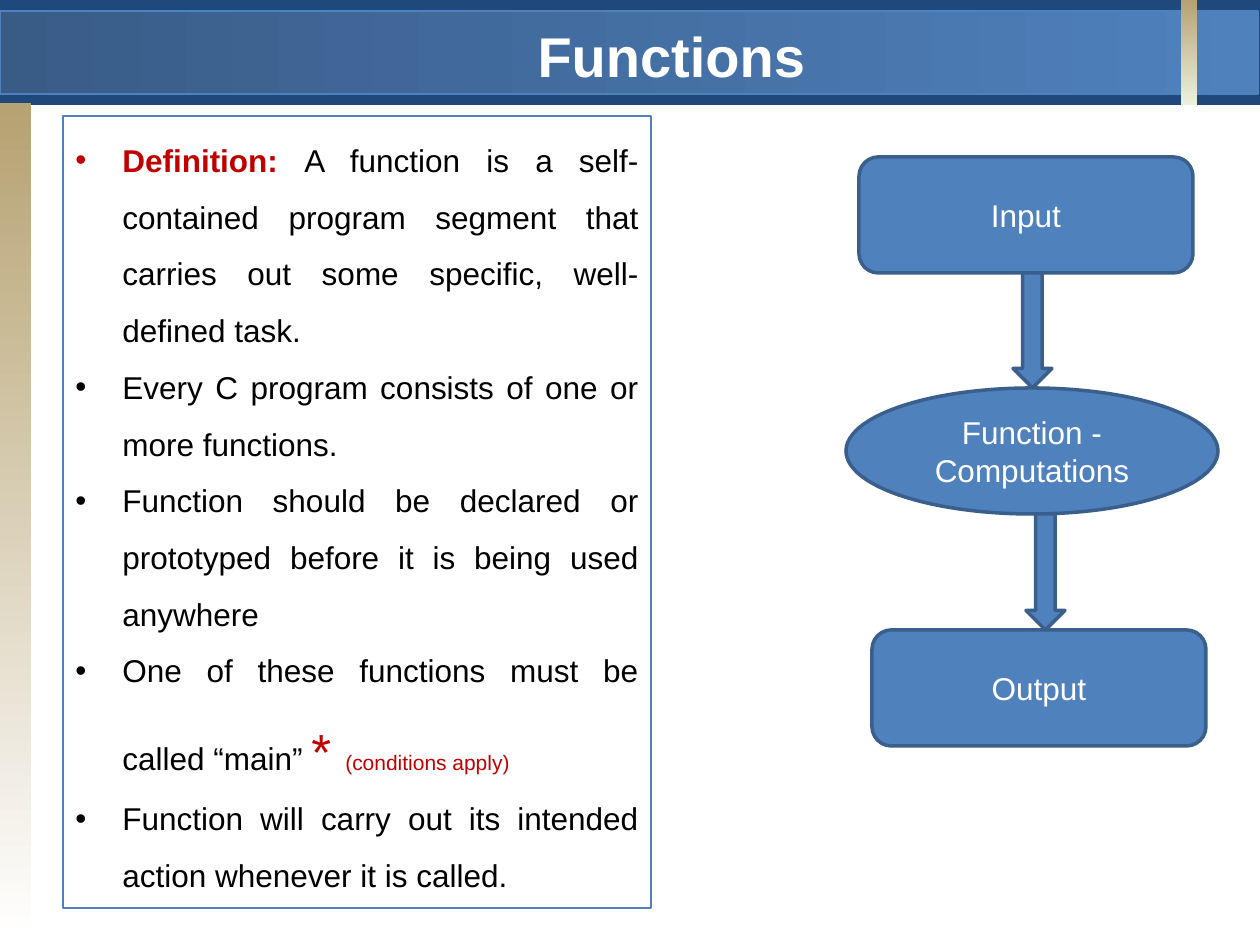
from lxml.etree import SubElement
from pptx import Presentation
from pptx.dml.color import RGBColor
from pptx.enum.shapes import MSO_SHAPE
from pptx.enum.text import MSO_ANCHOR, MSO_AUTO_SIZE, PP_ALIGN
from pptx.oxml.ns import qn
from pptx.util import Emu, Pt

PIXELS_PER_INCH = 126
FONT = "Arial"
WHITE = RGBColor(0xFF, 0xFF, 0xFF)
BLACK = RGBColor(0x00, 0x00, 0x00)
RED = RGBColor(0xC0, 0x00, 0x00)
NAVY = RGBColor(0x1F, 0x49, 0x7D)
STEEL = RGBColor(0x39, 0x5C, 0x87)
BLUE = RGBColor(0x4F, 0x81, 0xBD)
OUTLINE = RGBColor(0x3A, 0x5F, 0x8C)
TAN = RGBColor(0xB6, 0xA2, 0x72)
CREAM = RGBColor(0xEB, 0xF1, 0xDE)

BODY = (18, BLACK, False)
BULLETS = [
    [("Definition: ", 18, RED, True),
     ("A function is a self-contained program segment that carries out "
      "some specific, well-defined task.", *BODY)],
    [("Every C program consists of one or more functions.", *BODY)],
    [("Function should be declared or prototyped before it is being used anywhere", *BODY)],
    [("One of these functions must be called “main” ", *BODY),
     ("* ", 29, RED, False),
     ("(conditions apply)", 12, RED, False)],
    [("Function will carry out its intended action whenever it is called.", *BODY)],
]


def px(value):
    return Emu(round(value * 914400 / PIXELS_PER_INCH))


def add_box(shapes, kind, box, fill=None, line=None, line_width=0):
    shape = shapes.add_shape(kind, *map(px, box))
    shape.shadow.inherit = False
    if fill is None:
        shape.fill.background()
    else:
        shape.fill.solid()
        shape.fill.fore_color.rgb = fill
    if line is None:
        shape.line.fill.background()
    else:
        shape.line.color.rgb = line
        shape.line.width = Pt(line_width)
    return shape


def set_gradient(shape, colors, angle):
    shape.fill.gradient()
    shape.fill.gradient_angle = angle
    for position, (stop, color) in enumerate(zip(shape.fill.gradient_stops, colors)):
        stop.color.rgb = color
        stop.position = position


def format_run(run, size, color, bold=False):
    run.font.name = FONT
    run.font.size = Pt(size)
    run.font.color.rgb = color
    run.font.bold = bold


def add_bullet(paragraph, indent):
    properties = paragraph._p.get_or_add_pPr()
    properties.set("marL", str(px(indent)))
    properties.set("indent", str(-px(indent)))
    SubElement(properties, qn("a:buFont"), typeface=FONT)
    SubElement(properties, qn("a:buChar"), char="•")


def add_header(slide, box):
    left, top, width, height = box
    add_box(slide.shapes, MSO_SHAPE.RECTANGLE, box, NAVY)
    band = add_box(slide.shapes, MSO_SHAPE.RECTANGLE,
                   (left, top + 11, width - 2, 83), BLUE, BLUE, 0.75)
    set_gradient(band, (STEEL, BLUE), 0)


def add_gradient_strip(slide, box, end_color):
    strip = add_box(slide.shapes, MSO_SHAPE.RECTANGLE, box, TAN)
    set_gradient(strip, (TAN, end_color), 270)


def add_title(slide, box):
    title = slide.shapes.add_textbox(*map(px, box))
    text_frame = title.text_frame
    text_frame.word_wrap = True
    text_frame.margin_top = px(12)
    text_frame.text = "Functions"
    paragraph = text_frame.paragraphs[0]
    paragraph.alignment = PP_ALIGN.CENTER
    format_run(paragraph.runs[0], 32, WHITE, True)


def add_definition(slide, box):
    panel = add_box(slide.shapes, MSO_SHAPE.RECTANGLE, box, line=BLUE, line_width=1.5)
    text_frame = panel.text_frame
    text_frame.word_wrap = True
    text_frame.auto_size = MSO_AUTO_SIZE.SHAPE_TO_FIT_TEXT
    text_frame.vertical_anchor = MSO_ANCHOR.TOP
    for index, pieces in enumerate(BULLETS):
        paragraph = text_frame.add_paragraph() if index else text_frame.paragraphs[0]
        paragraph.alignment = PP_ALIGN.JUSTIFY
        paragraph.line_spacing = 1.5
        add_bullet(paragraph, 47)
        for text, size, color, bold in pieces:
            run = paragraph.add_run()
            run.text = text
            format_run(run, size, color, bold)


def add_flow(slide, box):
    left, top, _, _ = box
    group = slide.shapes.add_group_shape()
    steps = [
        (MSO_SHAPE.ROUNDED_RECTANGLE, (13, 0, 334, 116), "Input"),
        (MSO_SHAPE.OVAL, (0, 231, 372, 126), "Function - Computations"),
        (MSO_SHAPE.ROUNDED_RECTANGLE, (26, 473, 334, 116), "Output"),
        (MSO_SHAPE.DOWN_ARROW, (167, 116, 39, 115), ""),
        (MSO_SHAPE.DOWN_ARROW, (180, 357, 39, 116), ""),
    ]
    for kind, (x, y, width, height), text in steps:
        step = add_box(group.shapes, kind, (left + x, top + y, width, height),
                       BLUE, OUTLINE, 2)
        if text:
            step.text_frame.text = text
            step.text_frame.word_wrap = True
            step.text_frame.vertical_anchor = MSO_ANCHOR.MIDDLE
            paragraph = step.text_frame.paragraphs[0]
            paragraph.alignment = PP_ALIGN.CENTER
            format_run(paragraph.runs[0], 18, WHITE)


def main():
    presentation = Presentation()
    presentation.slide_width = px(1260)
    presentation.slide_height = px(945)
    slide = presentation.slides.add_slide(presentation.slide_layouts[6])
    add_header(slide, (0, 0, 1260, 105))
    add_gradient_strip(slide, (0, 103, 31, 837), WHITE)
    add_gradient_strip(slide, (1181, 0, 16, 105), CREAM)
    add_title(slide, (199, 10, 945, 73))
    add_definition(slide, (63, 116, 588, 792))
    add_flow(slide, (846, 157, 372, 589))
    presentation.save("out.pptx")


if __name__ == "__main__":
    main()
